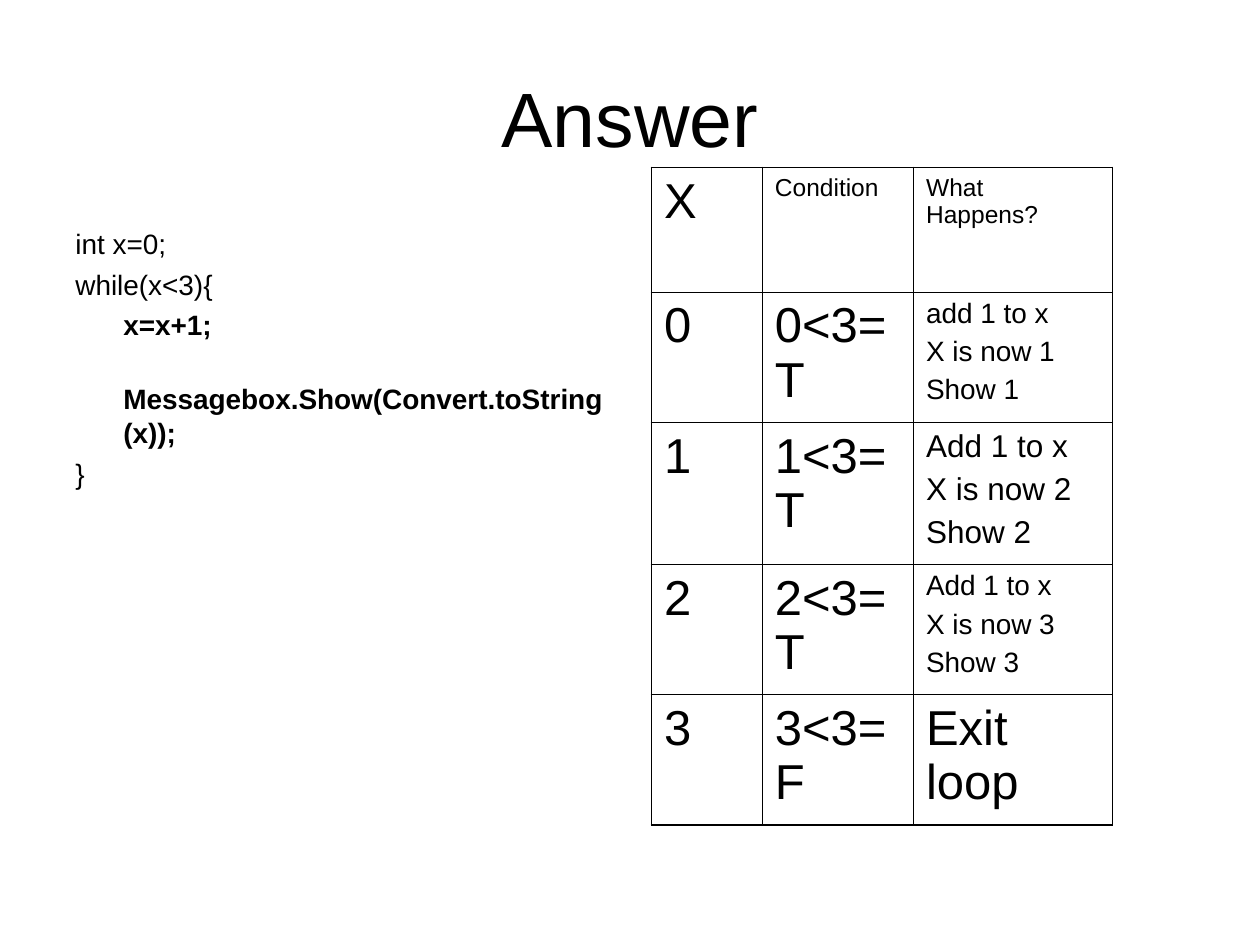
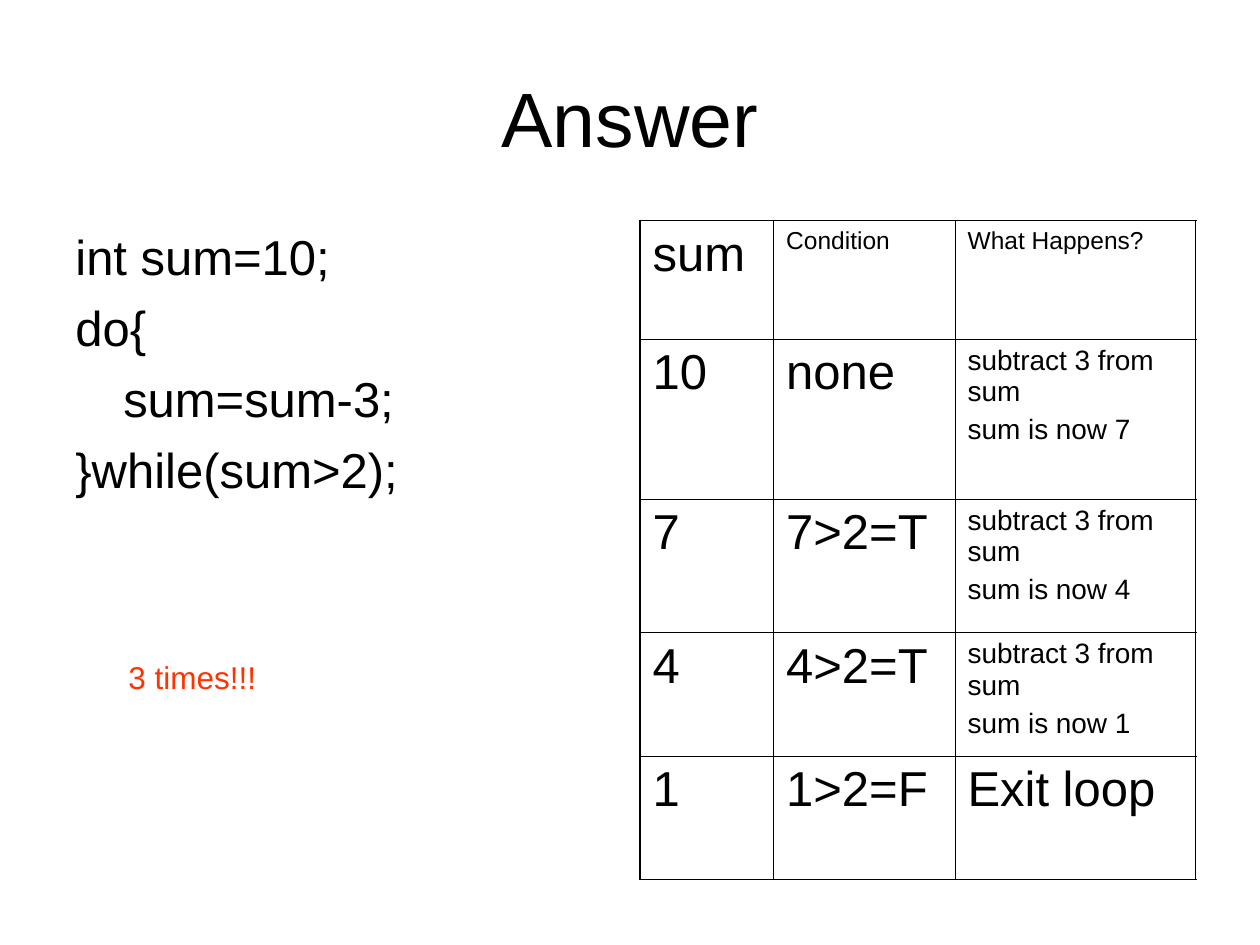
import itertools
from dataclasses import dataclass

import lxml.etree
import pptx
import pptx.dml.color
import pptx.enum.text
import pptx.oxml.ns
import pptx.util

SLIDES = [
    dict(
        title="Answer",
        code_size=16,
        code=[("int x=0;", False), ("while(x<3){", False), ("\tx=x+1;", True),
              ("\tMessagebox.Show(Convert.toString(x));", True), ("}", False)],
        table_at=(5.17, 1.33),
        cols=(0.88, 1.2, 1.58),
        rows=(0.99, 1.03, 1.12, 1.03, 1.03),
        variable="X",
        # value, condition, steps, size of the steps
        trace=[("0", "0<3=T", ["add 1 to x", "X is now 1", "Show 1"], 16),
               ("1", "1<3=T", ["Add 1 to x", "X is now 2", "Show 2"], 18),
               ("2", "2<3=T", ["Add 1 to x", "X is now 3", "Show 3"], 16),
               ("3", "3<3=F", ["Exit loop"], 28)],
    ),
    dict(
        title="Answer",
        code_size=28,
        code=[("int sum=10;", False), ("do{", False),
              ("\tsum=sum-3;", False), ("}while(sum>2);", False)],
        table_at=(5.08, 1.75),
        cols=(1.06, 1.44, 1.91),
        rows=(0.94, 1.27, 1.06, 0.98, 0.98),
        variable="sum",
        trace=[("10", "none", ["subtract 3 from sum", "sum is now 7"], 16),
               ("7", "7>2=T", ["subtract 3 from sum", "sum is now 4"], 16),
               ("4", "4>2=T", ["subtract 3 from sum", "sum is now 1"], 16),
               ("1", "1>2=F", ["Exit loop"], 28)],
        remark="3 times!!!",
    ),
]
HEADINGS = ("Condition", "What Happens?")


@dataclass(frozen=True)
class Theme:
    font: str = "Arial"
    ink: str = "000000"
    accent: str = "FF3300"
    title: int = 44
    cell: int = 28
    heading: int = 14
    remark: int = 18
    spacing: float = 0.25  # space before a paragraph, as a share of its type size
    hanging: float = 0.38
    outer_line: float = 1.08
    inner_line: float = 0.45


THEME = Theme()
TITLE_BOX = (0.5, 0.3, 9, 1.25)
CODE_BOX = (0.5, 1.75, 4.42, 4.95)
REMARK_BOX = (0.92, 5.17, 2.42, 0.4)
inches = pptx.util.Inches
Pt = pptx.util.Pt


def write(tf, lines, size, color=THEME.ink, spacing=THEME.spacing, align=None, hanging=0):
    """Fill a text frame with (text, bold) lines, one paragraph each."""
    tf.word_wrap = True
    for i, (text, bold) in enumerate(lines):
        p = tf.add_paragraph() if i else tf.paragraphs[0]
        p.alignment = align
        p.space_before = Pt(size * spacing)
        if hanging:
            pPr = p._p.get_or_add_pPr()
            pPr.set("marL", str(inches(hanging)))
            pPr.set("indent", str(-inches(hanging)))
        r = p.add_run()
        r.text = text
        for key, value in dict(name=THEME.font, size=Pt(size), bold=bold).items():
            setattr(r.font, key, value)
        r.font.color.rgb = pptx.dml.color.RGBColor.from_string(color)


def add_text(s, box, lines, size, **style):
    tf = s.shapes.add_textbox(*map(inches, box)).text_frame
    write(tf, lines, size, **style)
    return tf


def draw_borders(cell, outer):
    """Rule the four sides; the sides named in outer get the heavier line."""
    tcPr = cell._tc.get_or_add_tcPr()
    qn = pptx.oxml.ns.qn
    for i, side in enumerate("LRTB"):
        ln = lxml.etree.Element(qn("a:ln" + side))
        width = THEME.outer_line if side in outer else THEME.inner_line
        ln.set("w", str(Pt(width)))
        fill = lxml.etree.SubElement(ln, qn("a:solidFill"))
        lxml.etree.SubElement(fill, qn("a:srgbClr")).set("val", THEME.ink)
        tcPr.insert(i, ln)


def add_trace_table(s, data):
    cols, rows = data["cols"], data["rows"]
    box = (*data["table_at"], sum(cols), sum(rows))
    table = s.shapes.add_table(len(rows), len(cols), *map(inches, box)).table
    table.first_row = table.horz_banding = False
    for column, width in zip(table.columns, cols):
        column.width = inches(width)
    for row, height in zip(table.rows, rows):
        row.height = inches(height)

    header = [([data["variable"]], THEME.cell)]
    header += [([heading], THEME.heading) for heading in HEADINGS]
    grid = [header] + [
        [([value], THEME.cell), ([condition], THEME.cell), (steps, size)]
        for value, condition, steps, size in data["trace"]]
    last_row, last_col = len(rows) - 1, len(cols) - 1
    for i, j in itertools.product(range(len(rows)), range(len(cols))):
        cell = table.cell(i, j)
        cell.fill.background()
        lines, size = grid[i][j]
        write(cell.text_frame, [(line, False) for line in lines], size)
        edges = dict(L=j == 0, R=j == last_col, T=i == 0, B=i == last_row)
        draw_borders(cell, [side for side, on in edges.items() if on])


def add_answer_slide(prs, data):
    s = prs.slides.add_slide(prs.slide_layouts[6])
    tf = add_text(s, TITLE_BOX, [(data["title"], False)], THEME.title,
                  spacing=0, align=pptx.enum.text.PP_ALIGN.CENTER)
    tf.vertical_anchor = pptx.enum.text.MSO_ANCHOR.MIDDLE
    add_text(s, CODE_BOX, data["code"], data["code_size"], hanging=THEME.hanging)
    add_trace_table(s, data)
    if "remark" in data:
        tf = add_text(s, REMARK_BOX, [(data["remark"], False)], THEME.remark,
                      color=THEME.accent, spacing=0.62)
        tf.auto_size = pptx.enum.text.MSO_AUTO_SIZE.SHAPE_TO_FIT_TEXT


def main():
    prs = pptx.Presentation()
    prs.slide_width, prs.slide_height = inches(10), inches(7.5)
    for data in SLIDES:
        add_answer_slide(prs, data)
    prs.save("out.pptx")


if __name__ == "__main__":
    main()
